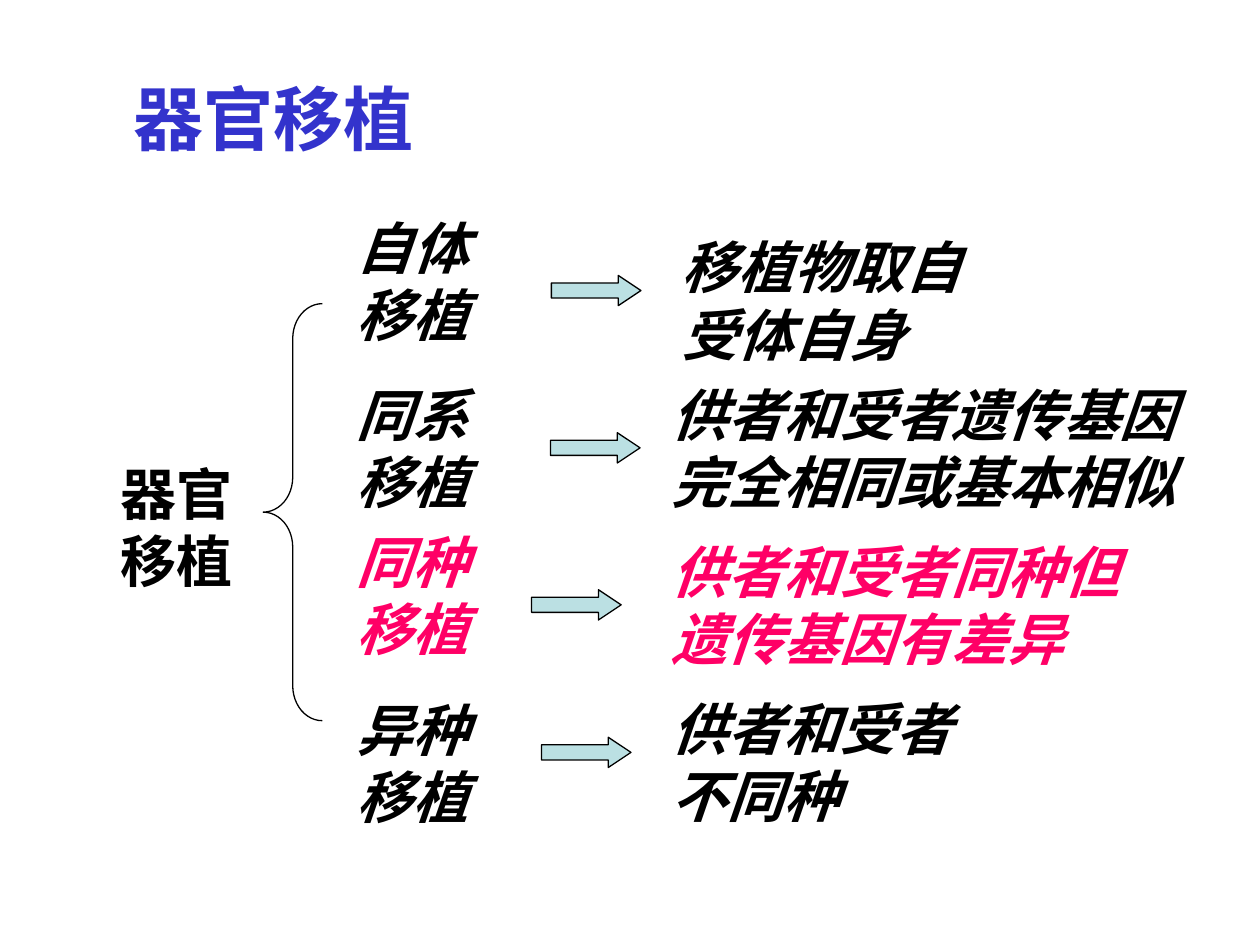
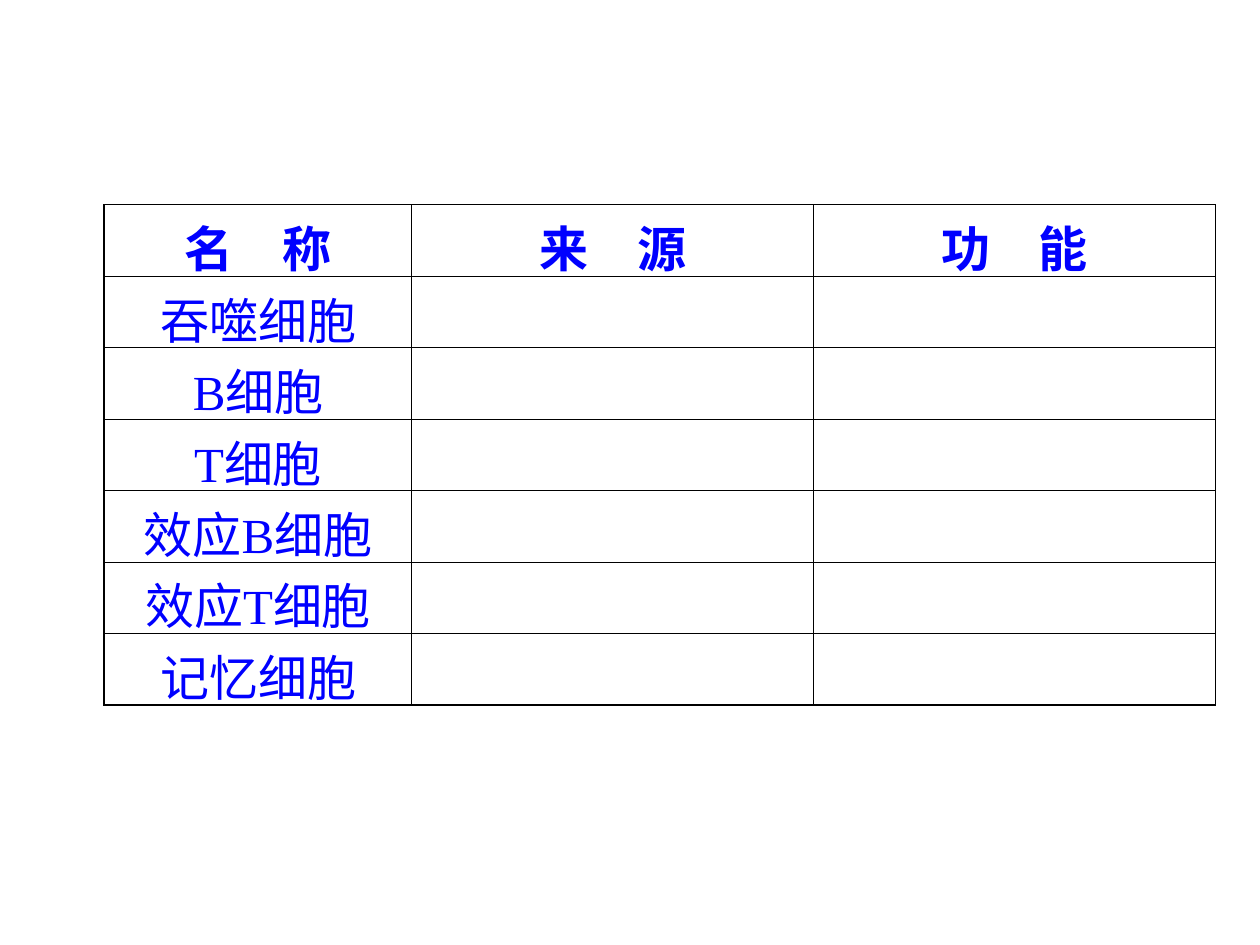
import pptx
import pptx.dml.color
import pptx.enum.shapes
import pptx.enum.text
import pptx.oxml
import pptx.oxml.ns
import pptx.util

Pt = pptx.util.Pt
SHAPE = pptx.enum.shapes.MSO_SHAPE
ANCHOR = pptx.enum.text.MSO_ANCHOR
ALIGN = pptx.enum.text.PP_ALIGN
AUTO = pptx.enum.text.MSO_AUTO_SIZE

# Content of slide 1: tops and lefts in points beside each text
TITLE = "器官移植"
ROOT = "器官移植"
KINDS = [
    dict(kind="自体移植", kind_top=118.3, arrow=(315.1, 157.4),
         meaning="移植物取自受体自身", box=(382.5, 129.6, 204.5), color="black"),
    dict(kind="同系移植", kind_top=213.8, arrow=(314.6, 247.3),
         meaning="供者和受者遗传基因完全相同或基本相似",
         box=(376.6, 213.8, 315.4), color="black"),
    dict(kind="同种移植", kind_top=297.8, arrow=(303.8, 337),
         meaning="供者和受者同种但遗传基因有差异",
         box=(376.6, 303.5, 292.3), color="pink"),
    dict(kind="异种移植", kind_top=393.7, arrow=(309.4, 421.3),
         meaning="供者和受者不同种", box=(376.6, 393.2, 204.5), color="black"),
]

# Content of slide 2
HEADERS = ["名　称", "来　源", "功　能"]
CELLS = ["吞噬细胞", "B细胞", "T细胞", "效应B细胞", "效应T细胞", "记忆细胞"]

# Shared look
COLORS = {"title": "3333CC", "black": "000000", "pink": "FF0066",
          "arrow": "BBE0E3", "table": "0000FF"}
TITLE_FONT = dict(name="Arial", size=Pt(40), bold=True, italic=False)
ROOT_FONT = dict(name="Arial", size=Pt(32), bold=True, italic=False)
KIND_FONT = dict(ROOT_FONT, italic=True)
CELL_FONT = dict(name="Times New Roman", size=Pt(28), bold=False)
HEADER_FONT = dict(CELL_FONT, bold=True)

KIND_LEFT, KIND_W, BOX_H = 196.5, 102.2, 84.2
ARROW_W, ARROW_H = 51.2, 17.3
COL_WIDTHS, ROW_H = [175.7, 229.6, 229.6], 40.85
THIN, THICK = 0.45, 1.08


def rgb(name):
    return pptx.dml.color.RGBColor.from_string(COLORS[name])


def write(tf, text, fmt, color, align=ALIGN.LEFT):
    p = tf.paragraphs[0]
    p.alignment = align
    r = p.add_run()
    r.text = text
    for key, value in fmt.items():
        setattr(r.font, key, value)
    r.font.color.rgb = rgb(color)


def add_text(s, left, top, width, text, fmt, color):
    sp = s.shapes.add_textbox(Pt(left), Pt(top), Pt(width), Pt(BOX_H))
    sp.text_frame.word_wrap = True
    write(sp.text_frame, text, fmt, color)


def add_preset(s, preset, left, top, width, height, adjustments, fill=None):
    sp = s.shapes.add_shape(preset, Pt(left), Pt(top), Pt(width), Pt(height))
    sp.shadow.inherit = False
    for i, value in enumerate(adjustments):
        sp.adjustments[i] = value
    if fill:
        sp.fill.solid()
        sp.fill.fore_color.rgb = rgb(fill)
    else:
        sp.fill.background()
    sp.line.color.rgb = rgb("black")
    sp.line.width = Pt(0.75)


def set_borders(cell, widths):
    tc_pr = cell._tc.get_or_add_tcPr()
    for i, (side, width) in enumerate(widths.items()):
        ln = pptx.oxml.parse_xml(
            f'<a:ln{side} {pptx.oxml.ns.nsdecls("a")} w="{int(Pt(width))}">'
            f'<a:solidFill><a:srgbClr val="{COLORS["black"]}"/></a:solidFill>'
            f'</a:ln{side}>')
        tc_pr.insert(i, ln)


def build_kinds(prs):
    s = prs.slides.add_slide(prs.slide_layouts[5])

    # Title: wide enough for its four characters on one line
    sp = s.shapes.title
    frame = dict(left=69, top=39.6, width=186, height=55.4)
    for key, value in frame.items():
        setattr(sp, key, Pt(value))
    tf = sp.text_frame
    for key, value in dict(word_wrap=True, auto_size=AUTO.NONE,
                           vertical_anchor=ANCHOR.TOP).items():
        setattr(tf, key, value)
    write(tf, TITLE, TITLE_FONT, "title")

    # Root and brace
    add_text(s, 61.9, 258.8, 79.2, ROOT, ROOT_FONT, "black")
    add_preset(s, SHAPE.LEFT_BRACE, 150.4, 173.5, 33.8, 238.3, (0.59, 0.5))

    # Kind, arrow, meaning
    for row in KINDS:
        color = row["color"]
        add_text(s, KIND_LEFT, row["kind_top"], KIND_W, row["kind"],
                 KIND_FONT, color)
        add_preset(s, SHAPE.RIGHT_ARROW, *row["arrow"], ARROW_W, ARROW_H,
                   (0.5, 0.75), "arrow")
        add_text(s, *row["box"], row["meaning"], KIND_FONT, color)


def build_table(prs):
    s = prs.slides.add_slide(prs.slide_layouts[6])
    rows = [HEADERS] + [[name, "", ""] for name in CELLS]
    last_row = len(rows) - 1
    table = s.shapes.add_table(
        len(rows), len(HEADERS), Pt(59.6), Pt(116.9), Pt(sum(COL_WIDTHS)),
        Pt(ROW_H * len(rows))).table
    table.first_row = table.horz_banding = False
    for col, width in zip(table.columns, COL_WIDTHS):
        col.width = Pt(width)

    # Cells: thick rules at the left and bottom edges, thin rules elsewhere
    for i, texts in enumerate(rows):
        table.rows[i].height = Pt(ROW_H)
        for j, text in enumerate(texts):
            cell = table.cell(i, j)
            cell.fill.background()
            cell.vertical_anchor = ANCHOR.MIDDLE
            if text:
                write(cell.text_frame, text, CELL_FONT if i else HEADER_FONT,
                      "table", ALIGN.CENTER)
            thick = dict(L=j == 0, R=False, T=False, B=i == last_row)
            set_borders(cell, {side: THICK if edge else THIN
                               for side, edge in thick.items()})


def main():
    prs = pptx.Presentation()
    prs.slide_width, prs.slide_height = Pt(720), Pt(540)
    build_kinds(prs)
    build_table(prs)
    prs.save("out.pptx")


if __name__ == "__main__":
    main()
